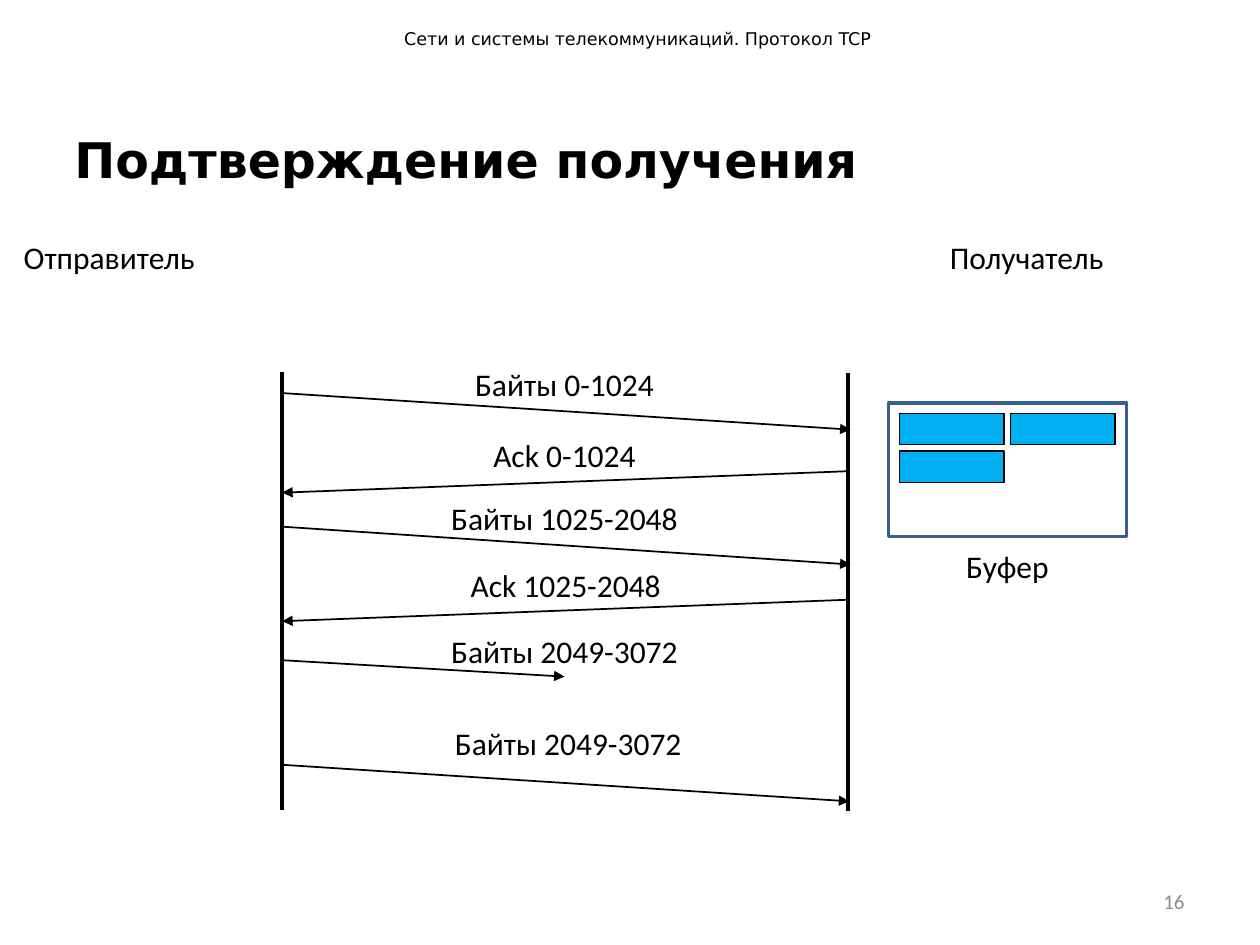
from lxml import etree
from pptx import Presentation
from pptx.dml.color import RGBColor
from pptx.enum.shapes import MSO_CONNECTOR, MSO_SHAPE
from pptx.enum.text import MSO_ANCHOR, PP_ALIGN
from pptx.oxml.ns import qn
from pptx.util import Inches, Pt

LEFT, CENTER, RIGHT = PP_ALIGN.LEFT, PP_ALIGN.CENTER, PP_ALIGN.RIGHT
TOP, MIDDLE = MSO_ANCHOR.TOP, MSO_ANCHOR.MIDDLE
RECT, STRAIGHT = MSO_SHAPE.RECTANGLE, MSO_CONNECTOR.STRAIGHT

COLORS = {"ink": "000000", "paper": "FFFFFF", "frame": "3A5F8C",
          "block": "00B0F0", "muted": "8C8C8C"}

BODY = {"name": "Calibri", "size": Pt(18)}
HEADER = {"name": "DejaVu Sans", "size": Pt(10)}
TITLE = {"name": "DejaVu Sans", "size": Pt(28), "bold": True}
NUMBER = {"name": "Calibri", "size": Pt(12)}

SENDER, RECEIVER = 2.24, 6.73

# label, label left and top, arrow start, arrow end
MESSAGES = [
    ("Байты 0-1024", 2.24, 2.85, (SENDER, 3.12), (6.75, 3.41)),
    ("Ack 0-1024", 2.24, 3.41, (RECEIVER, 3.74), (SENDER, 3.91)),
    ("Байты 1025-2048", 2.24, 3.91, (SENDER, 4.18), (6.75, 4.48)),
    ("Ack 1025-2048", 2.25, 4.44, (RECEIVER, 4.76), (SENDER, 4.93)),
    ("Байты 2049-3072", 2.24, 4.97, (SENDER, 5.24), (4.48, 5.37)),
    ("Байты 2049-3072", 2.27, 5.7, (SENDER, 6.07), (6.74, 6.36)),
]


def rgb(name):
    return RGBColor.from_string(COLORS[name])


def add_text(slide, text, box, style=BODY, align=LEFT, color="ink",
             anchor=TOP, inset=None):
    frame = slide.shapes.add_textbox(*map(Inches, box)).text_frame
    frame.word_wrap = True
    frame.vertical_anchor = anchor
    if inset is not None:
        for side in ("left", "top", "right", "bottom"):
            setattr(frame, f"margin_{side}", Inches(inset))
    line = frame.paragraphs[0]
    line.alignment = align
    run = line.add_run()
    run.text = text
    for key, value in style.items():
        setattr(run.font, key, value)
    run.font.color.rgb = rgb(color)


def add_rect(slide, box, fill, edge, width):
    rect = slide.shapes.add_shape(RECT, *map(Inches, box))
    rect.shadow.inherit = False
    rect.fill.solid()
    rect.fill.fore_color.rgb = rgb(fill)
    rect.line.color.rgb = rgb(edge)
    rect.line.width = Pt(width)


def add_line(slide, start, end, width, arrow=False):
    link = slide.shapes.add_connector(STRAIGHT, *map(Inches, start + end))
    link.line.color.rgb = rgb("ink")
    link.line.width = Pt(width)
    if arrow:
        etree.SubElement(link.line._get_or_add_ln(), qn("a:tailEnd"),
                         type="triangle")
    etree.SubElement(link._element.spPr, qn("a:effectLst"))


def add_buffer(slide):
    add_rect(slide, (7.05, 3.2, 1.89, 1.06), "paper", "frame", 2)
    for col, row in ((0, 0), (1, 0), (0, 1)):
        box = (7.14 + 0.88 * col, 3.28 + 0.3 * row, 0.83, 0.25)
        add_rect(slide, box, "block", "ink", 0.75)
    add_text(slide, "Буфер", (7.05, 4.29, 1.89, 0.4), align=CENTER)


def add_exchange(slide):
    """Draw both timelines and the messages that pass between them."""
    add_line(slide, (SENDER, 2.95), (SENDER, 6.43), 2)
    add_line(slide, (RECEIVER, 2.96), (RECEIVER, 6.44), 2)
    for label, left, top, start, end in MESSAGES:
        add_line(slide, start, end, 1, arrow=True)
        add_text(slide, label, (left, top, 4.48, 0.4), align=CENTER)


def main():
    deck = Presentation()
    deck.slide_width, deck.slide_height = Inches(10), Inches(7.5)
    slide = deck.slides.add_slide(deck.slide_layouts[6])

    add_text(slide, "Сети и системы телекоммуникаций. Протокол TCP",
             (3.11, 0.17, 6.85, 0.27), HEADER)
    add_text(slide, "Подтверждение получения", (0.59, 1.03, 8.98, 0.47),
             TITLE, inset=0)
    add_text(slide, "16", (7.17, 6.95, 2.33, 0.4), NUMBER, RIGHT, "muted",
             MIDDLE)
    add_text(slide, "Отправитель", (0.09, 1.84, 2.13, 0.4))
    add_text(slide, "Получатель", (7.44, 1.84, 2.13, 0.4))
    add_exchange(slide)
    add_buffer(slide)

    deck.save("out.pptx")


if __name__ == "__main__":
    main()
